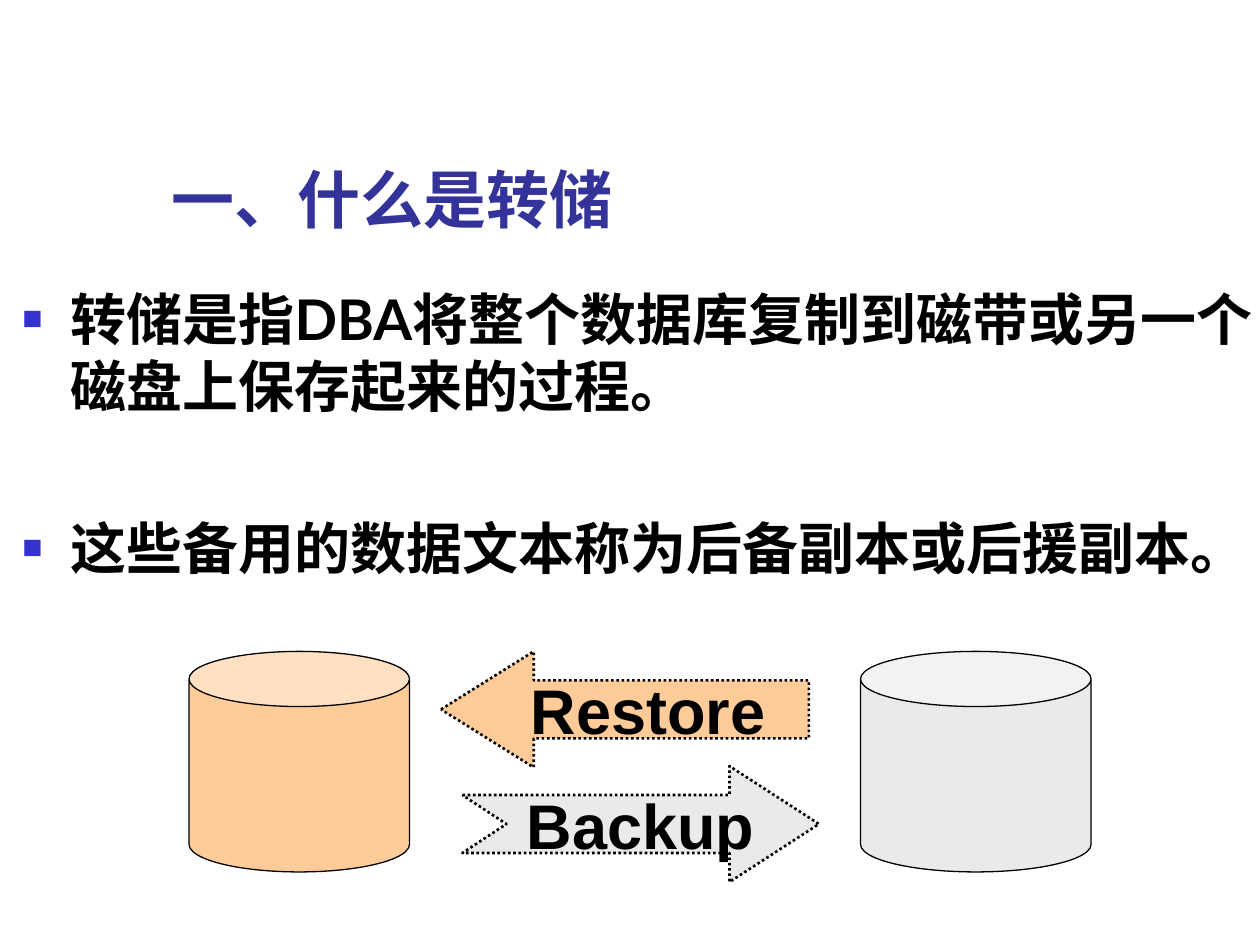
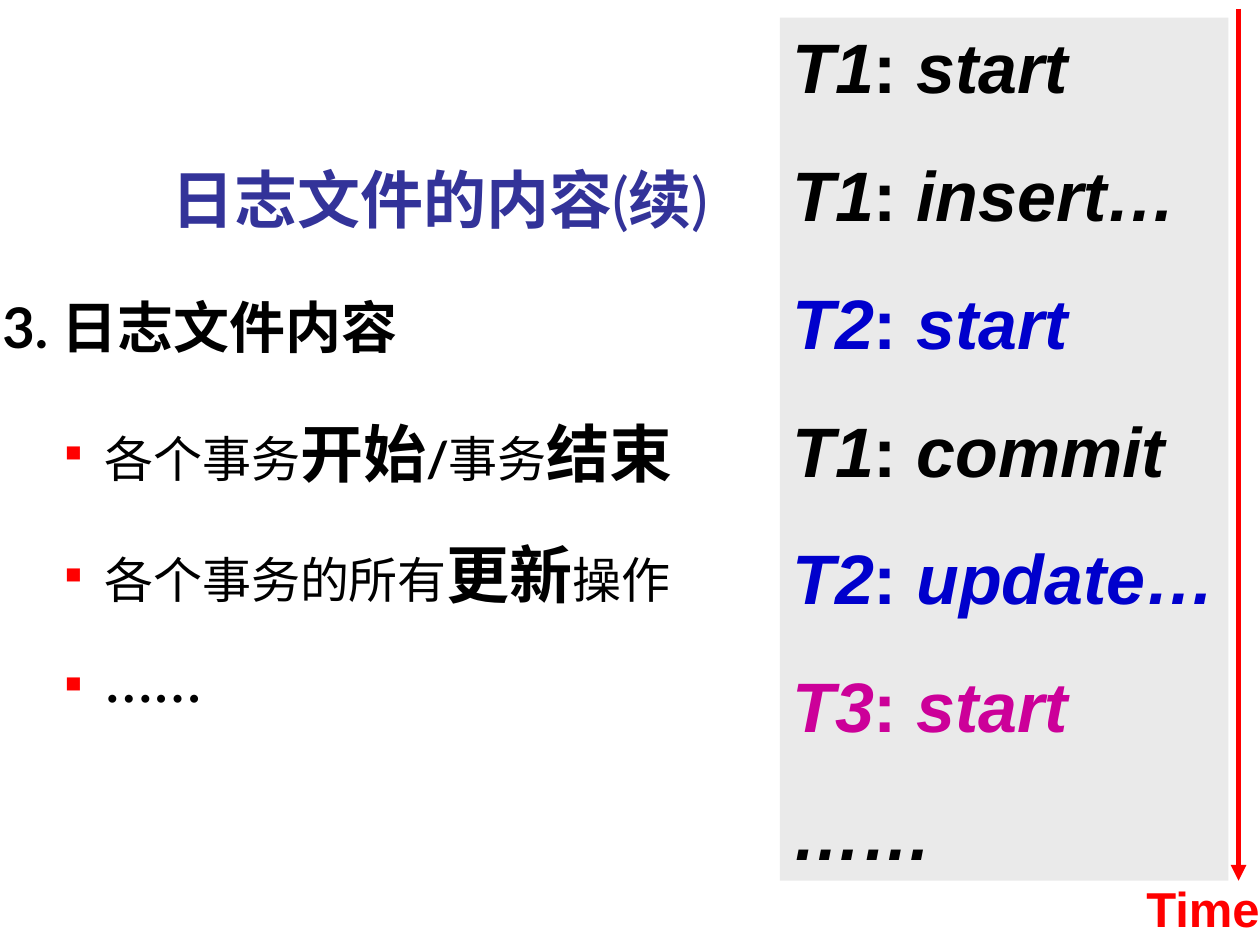
"""Build two slides on database dumps and log files."""
import lxml.etree
import pptx
import pptx.dml.color
import pptx.enum.dml
import pptx.enum.shapes
import pptx.enum.text
import pptx.oxml.ns
import pptx.util

PX = 9144
INK, NAVY, BLUE, RED = "000000", "333399", "3333CC", "FF0000"
PEACH, GREY = "FFCC99", "EAEAEA"
SHAPE = pptx.enum.shapes.MSO_SHAPE
ANCHOR = pptx.enum.text.MSO_ANCHOR
ALIGN = pptx.enum.text.PP_ALIGN
Pt = pptx.util.Pt
qn = pptx.oxml.ns.qn
add = lxml.etree.SubElement


def hue(code):
    return pptx.dml.color.RGBColor.from_string(code)


def write(para, runs, font, code):
    for text, size, bold, slant in runs:
        run = para.add_run()
        run.text = text
        run.font.size = Pt(size)
        run.font.bold = bold
        run.font.italic = slant
        run.font.name = font
        run.font.color.rgb = hue(code)
        add(run.font._element, qn("a:ea"), typeface=font)


deck = pptx.Presentation()
deck.slide_width = 1000 * PX
deck.slide_height = 750 * PX

dump = [("一、什么是转储", 36, True, False)]
log = [
    ("日志文件的内容", 36, True, False),
    ("(", 36, False, False),
    ("续", 36, True, False),
    (")", 36, False, False),
]
facts = [
    (0, 0, 1, BLUE, "Lato",
     [("转储是指DBA将整个数据库复制到磁带或另一个磁盘上保存起来的过程。", 32, True, False)]),
    (0, 54, 1, BLUE, "Lato",
     [("这些备用的数据文本称为后备副本或后援副本。", 32, True, False)]),
]
parts = [
    (0, 0, 0.9, None, "Lato", [("3. 日志文件内容", 32, True, False)]),
    (1, 22.5, 1.2, RED, "Lato",
     [("各个事务", 28, False, False), ("开始", 36, True, False),
      ("/", 28, True, False), ("事务", 28, False, False),
      ("结束", 36, True, False)]),
    (1, 17.5, 1.2, RED, "Lato",
     [("各个事务的所有", 28, False, False), ("更新", 36, True, False),
      ("操作", 28, False, False)]),
    (1, 17.5, 1.2, RED, "Times New Roman", [("……", 28, True, False)]),
]
indents = [(38, -38, "60000"), (81, -31, "55000")]

pages = []
for title, place, items in [
    (dump, (8, 221, 1000, 450), facts),
    (log, (-8, 233, 850, 450), parts),
]:
    slide = deck.slides.add_slide(deck.slide_layouts[6])
    pages.append(slide)
    frame = slide.shapes.add_textbox(126 * PX, 67 * PX, 852 * PX, 125 * PX).text_frame
    frame.word_wrap = True
    frame.vertical_anchor = ANCHOR.BOTTOM
    write(frame.paragraphs[0], title, "Lato", NAVY)

    frame = slide.shapes.add_textbox(*[n * PX for n in place]).text_frame
    frame.word_wrap = True
    for i, (level, gap, pitch, mark, font, runs) in enumerate(items):
        para = frame.add_paragraph() if i else frame.paragraphs[0]
        left, hang, ratio = indents[level]
        props = para._p.get_or_add_pPr()
        props.set("marL", str(left * PX))
        props.set("indent", str(hang * PX))
        if mark:
            tint = add(props, qn("a:buClr"))
            add(tint, qn("a:srgbClr"), val=mark)
            add(props, qn("a:buSzPct"), val=ratio)
            add(props, qn("a:buFont"), typeface="Arial")
            add(props, qn("a:buChar"), char="■")
        para.level = level
        para.line_spacing = pitch
        para.space_before = Pt(gap)
        write(para, runs, font, INK)

first, second = pages

edge = [(367, 631), (579, 631), (579, 608), (650, 654), (579, 700),
        (579, 677), (367, 677), (402, 654)]
build = first.shapes.build_freeform(*edge[0], scale=PX)
build.add_line_segments(edge[1:], close=True)
backup = build.convert_to_shape()
restore = first.shapes.add_shape(
    SHAPE.LEFT_ARROW, 350 * PX, 517 * PX, 292 * PX, 92 * PX)
restore.adjustments[0] = 0.5
restore.adjustments[1] = 0.8
for arrow, word, code in [(backup, "Backup", GREY), (restore, "Restore", PEACH)]:
    arrow.shadow.inherit = False
    arrow.fill.solid()
    arrow.fill.fore_color.rgb = hue(code)
    arrow.line.color.rgb = hue(INK)
    arrow.line.width = Pt(1.5)
    arrow.line.dash_style = pptx.enum.dml.MSO_LINE.ROUND_DOT
    frame = arrow.text_frame
    frame.word_wrap = False
    frame.vertical_anchor = ANCHOR.MIDDLE
    frame.paragraphs[0].alignment = ALIGN.CENTER
    write(frame.paragraphs[0], [(word, 36, True, False)], "Arial", INK)

for left, width, code in [(150, 175, PEACH), (683, 183, GREY)]:
    disk = first.shapes.add_shape(
        SHAPE.CAN, left * PX, 517 * PX, width * PX, 175 * PX)
    disk.adjustments[0] = 0.25
    disk.shadow.inherit = False
    disk.fill.solid()
    disk.fill.fore_color.rgb = hue(code)
    disk.line.color.rgb = hue(INK)
    disk.line.width = Pt(0.75)

frame = second.shapes.add_textbox(900 * PX, 692 * PX, 110 * PX, 57 * PX).text_frame
frame.word_wrap = False
write(frame.paragraphs[0], [("Time", 28, True, False)], "Arial", RED)

panel = second.shapes.add_shape(
    SHAPE.RECTANGLE, 619 * PX, 14 * PX, 356 * PX, 685 * PX)
panel.shadow.inherit = False
panel.fill.solid()
panel.fill.fore_color.rgb = hue(GREY)
panel.line.fill.background()
frame = panel.text_frame
frame.word_wrap = False
frame.vertical_anchor = ANCHOR.TOP
tints = {"T1": INK, "T2": "0000CC", "T3": "CC0099", "……": INK}
steps = [("T1", "start"), ("T1", "insert…"), ("T2", "start"), ("T1", "commit"),
         ("T2", "update…"), ("T3", "start"), ("……", "")]
for i, (name, act) in enumerate(steps):
    para = frame.add_paragraph() if i else frame.paragraphs[0]
    para.alignment = ALIGN.LEFT
    para.space_before = Pt(25 if i else 0)
    runs = [(name, 40, True, True)]
    if act:
        runs += [(":", 40, True, False), (" " + act, 40, True, True)]
    write(para, runs, "Arial", tints[name])

axis = second.shapes.add_connector(
    pptx.enum.shapes.MSO_CONNECTOR.STRAIGHT, 983 * PX, 7 * PX, 983 * PX, 699 * PX)
axis.line.color.rgb = hue(RED)
axis.line.width = Pt(3)
add(axis.line._get_or_add_ln(), qn("a:tailEnd"), type="triangle")
add(axis._element.spPr, qn("a:effectLst"))

deck.save("out.pptx")
